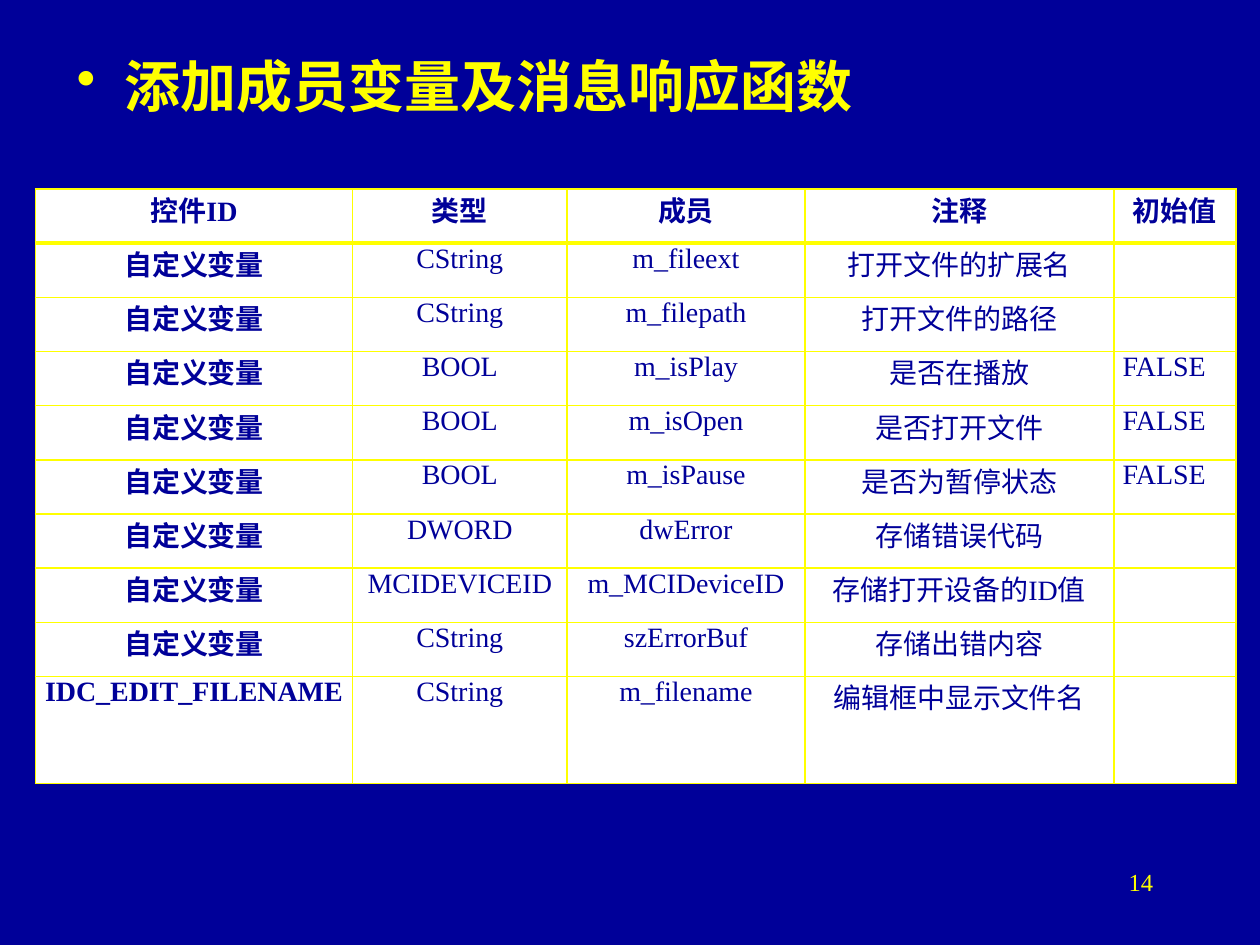
from lxml.etree import SubElement
from pptx import Presentation
from pptx.dml.color import RGBColor
from pptx.enum.text import PP_ALIGN
from pptx.oxml.ns import qn
from pptx.util import Inches, Pt

HUES = {"navy": "000099", "gold": "FFFF00", "white": "FFFFFF"}
COLS = [2.52, 1.7, 1.89, 2.45, 0.97]
ROWS = [0.43] * 9 + [0.85]
OWN = "自定义变量"
DATA = [
    ("控件ID", "类型", "成员", "注释", "初始值"),
    (OWN, "CString", "m_fileext", "打开文件的扩展名", ""),
    (OWN, "CString", "m_filepath", "打开文件的路径", ""),
    (OWN, "BOOL", "m_isPlay", "是否在播放", "FALSE"),
    (OWN, "BOOL", "m_isOpen", "是否打开文件", "FALSE"),
    (OWN, "BOOL", "m_isPause", "是否为暂停状态", "FALSE"),
    (OWN, "DWORD", "dwError", "存储错误代码", ""),
    (OWN, "MCIDEVICEID", "m_MCIDeviceID", "存储打开设备的ID值", ""),
    (OWN, "CString", "szErrorBuf", "存储出错内容", ""),
    ("IDC_EDIT_FILENAME", "CString", "m_filename", "编辑框中显示文件名", ""),
]


def color(name):
    return RGBColor.from_string(HUES[name])


def write(frame, text, size=16, hue="navy", bold=False, align=PP_ALIGN.LEFT):
    para = frame.paragraphs[0]
    para.alignment = align
    run = para.add_run()
    run.text = text
    font = run.font
    font.name, font.size, font.bold = "Times New Roman", Pt(size), bold
    font.color.rgb = color(hue)
    return para


class Deck:
    def __init__(self):
        self.file = Presentation()
        self.file.slide_width = Inches(10)
        self.file.slide_height = Inches(7.5)
        self.slide = self.file.slides.add_slide(self.file.slide_layouts[6])
        fill = self.slide.background.fill
        fill.solid()
        fill.fore_color.rgb = color("navy")

    def text(self, box, text, **style):
        shape = self.slide.shapes.add_textbox(*map(Inches, box))
        shape.text_frame.word_wrap = True
        return write(shape.text_frame, text, hue="gold", **style)

    def bullet(self, box, text, **style):
        para = self.text(box, text, **style)
        para.space_before = Pt(6.4)
        props = para._p.get_or_add_pPr()
        props.set("marL", str(Inches(0.38)))
        props.set("indent", str(Inches(-0.38)))
        SubElement(props, qn("a:buChar"), char="•")

    def border(self, cell, **widths):
        props = cell._tc.get_or_add_tcPr()
        for side in "LRTB":
            width = Pt(widths.get(side, 1))
            line = SubElement(props, qn(f"a:ln{side}"), w=str(width))
            fill = SubElement(line, qn("a:solidFill"))
            SubElement(fill, qn("a:srgbClr"), val=HUES["gold"])

    def cell(self, cell, text, row, col):
        cell.margin_left = cell.margin_right = Inches(0.07)
        cell.margin_top = cell.margin_bottom = 0
        self.border(cell, T=3 if row == 1 else 1, B=3 if row == 0 else 1)
        cell.fill.solid()
        cell.fill.fore_color.rgb = color("white")
        if text:
            last = row > 0 and col == len(COLS) - 1
            align = PP_ALIGN.JUSTIFY if last else PP_ALIGN.CENTER
            write(cell.text_frame, text, bold=row == 0 or col == 0, align=align)

    def table(self, left, top):
        box = map(Inches, (left, top, sum(COLS), sum(ROWS)))
        table = self.slide.shapes.add_table(len(ROWS), len(COLS), *box).table
        for col, width in zip(table.columns, COLS):
            col.width = Inches(width)
        for row, height in zip(table.rows, ROWS):
            row.height = Inches(height)
        for row, line in enumerate(DATA):
            for col, text in enumerate(line):
                self.cell(table.cell(row, col), text, row, col)


def main():
    deck = Deck()
    deck.bullet((0.51, 0.36, 8.5, 0.79), "添加成员变量及消息响应函数", size=32, bold=True)
    deck.text((7.17, 6.83, 2.08, 0.5), "14", size=14, align=PP_ALIGN.RIGHT)
    deck.table(0.28, 1.5)
    deck.file.save("out.pptx")


if __name__ == "__main__":
    main()
